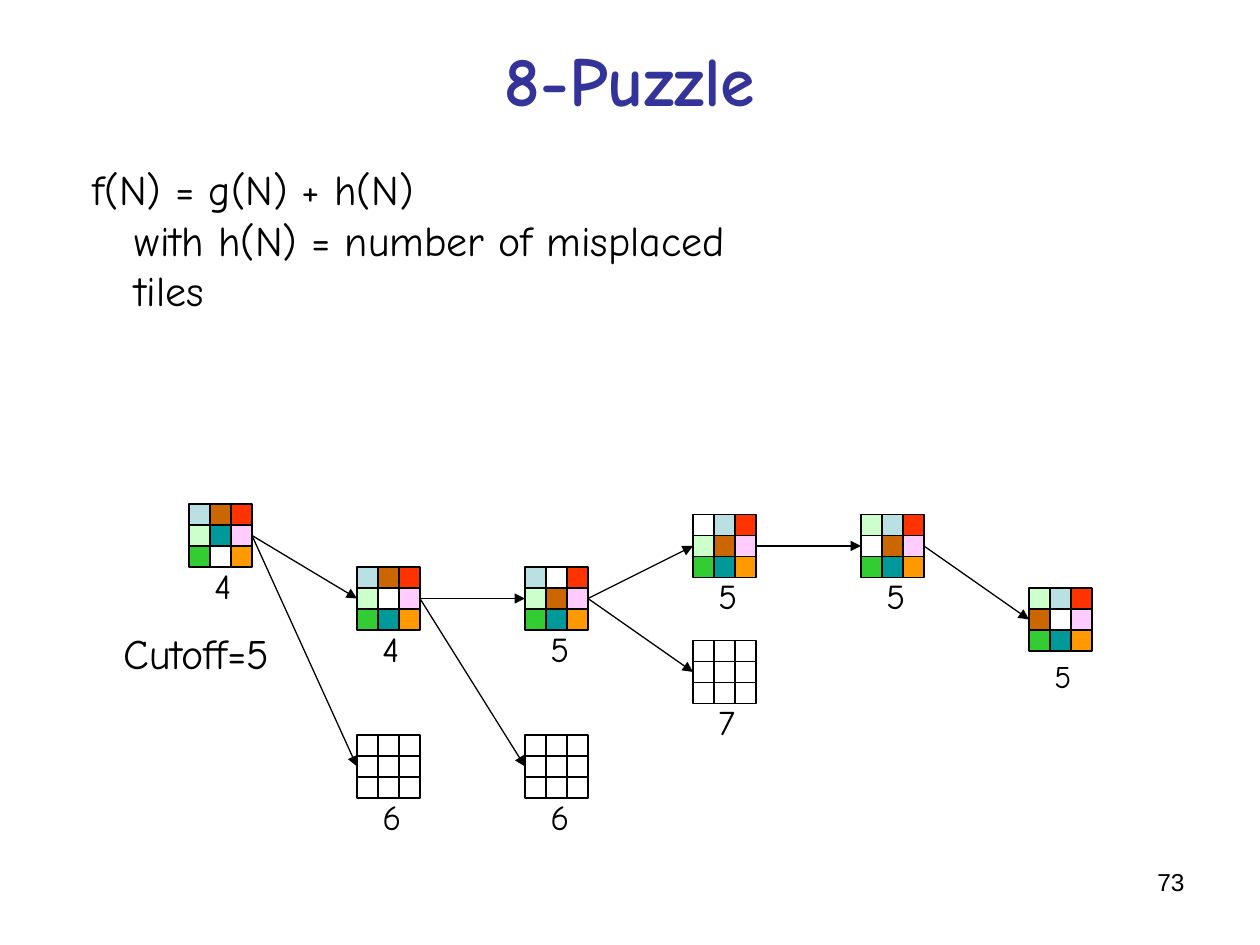
from dataclasses import dataclass

from lxml import etree
from pptx import Presentation
from pptx.dml.color import RGBColor
from pptx.enum.shapes import MSO_CONNECTOR, MSO_SHAPE
from pptx.enum.text import MSO_ANCHOR, MSO_AUTO_SIZE, PP_ALIGN
from pptx.oxml.ns import qn
from pptx.shapes.autoshape import Shape
from pptx.slide import Slide
from pptx.util import Pt

RECTANGLE = MSO_SHAPE.RECTANGLE
STRAIGHT = MSO_CONNECTOR.STRAIGHT
TOP, MIDDLE = MSO_ANCHOR.TOP, MSO_ANCHOR.MIDDLE
LEFT, CENTER, RIGHT = PP_ALIGN.LEFT, PP_ALIGN.CENTER, PP_ALIGN.RIGHT
FIT_TEXT = MSO_AUTO_SIZE.SHAPE_TO_FIT_TEXT
LEFT_SIDE, RIGHT_SIDE = 1, 3
MIDDLE_LEFT_TILE, MIDDLE_RIGHT_TILE = 3, 5


@dataclass(frozen=True)
class Theme:
    font: str = "Comic Neue"
    number_font: str = "Arial"
    ink: str = "000000"
    title: str = "333399"
    title_size: float = 40
    body_size: float = 24
    cost_size: float = 20
    small_cost_size: float = 18
    number_size: float = 14
    line_width: float = 0.75


THEME = Theme()

# Tile colours by letter; a dot is an empty square
TILES = {
    "B": "BBE0E3", "O": "CC6600", "R": "FF3300",
    "M": "CCFFCC", "T": "009999", "P": "FFCCFF",
    "G": "33CC33", "A": "FF9900", ".": "FFFFFF",
}
TILE = 12
SIDE = 3
UNEXPANDED = "." * SIDE ** 2


@dataclass(frozen=True)
class Board:
    name: str
    column: int
    top: float
    tiles: str
    cost: str
    cost_size: float = THEME.cost_size
    cost_drop: float = 31

    @property
    def left(self) -> float:
        return 108 + 96 * self.column


@dataclass(frozen=True)
class TextStyle:
    size: float
    color: str = THEME.ink
    font: str = THEME.font
    bold: bool = False
    align: PP_ALIGN = LEFT
    anchor: MSO_ANCHOR = TOP
    wrap: bool = False


BOARDS = [
    Board("start", 0, 288, "BORMTPG.A", "4"),
    Board("blank up", 1, 324, "BORM.PGTA", "4"),
    Board("start cut", 1, 420, UNEXPANDED, "6"),
    Board("blank top", 2, 324, "B.RMOPGTA", "5"),
    Board("blank up cut", 2, 420, UNEXPANDED, "6"),
    Board("blank corner", 3, 294, ".BRMOPGTA", "5"),
    Board("blank top cut", 3, 366, UNEXPANDED, "7"),
    Board("blank left", 4, 294, "MBR.OPGTA", "5"),
    Board("blank center", 5, 336, "MBRO.PGTA", "5", THEME.small_cost_size, 36),
]

MOVES = [
    ("start", "blank up"),
    ("start", "start cut"),
    ("blank up", "blank up cut"),
    ("blank up", "blank top"),
    ("blank top", "blank top cut"),
    ("blank top", "blank corner"),
    ("blank corner", "blank left"),
    ("blank left", "blank center"),
]


def rgb(color: str) -> RGBColor:
    return RGBColor.from_string(color)


def add_text(slide: Slide, left: float, top: float, width: float, height: float,
             lines: list[tuple[str, float]], style: TextStyle) -> None:
    """Add a text box; each line is its wording and its left indent."""
    box = slide.shapes.add_textbox(Pt(left), Pt(top), Pt(width), Pt(height))
    frame = box.text_frame
    frame.word_wrap = style.wrap
    frame.vertical_anchor = style.anchor
    if not style.wrap:
        frame.auto_size = FIT_TEXT
    for index, (wording, indent) in enumerate(lines):
        para = frame.add_paragraph() if index else frame.paragraphs[0]
        para.alignment = style.align
        if indent:
            properties = para._p.get_or_add_pPr()
            properties.set("marL", str(Pt(indent)))
            properties.set("indent", "0")
        span = para.add_run()
        span.text = wording
        span.font.name = style.font
        span.font.size = Pt(style.size)
        span.font.bold = style.bold
        span.font.color.rgb = rgb(style.color)


def add_board(slide: Slide, board: Board) -> list[Shape]:
    """Draw the tiles row by row with the cost below, and return the tiles."""
    squares = []
    for index, letter in enumerate(board.tiles):
        row, column = divmod(index, SIDE)
        square = slide.shapes.add_shape(
            RECTANGLE, Pt(board.left + column * TILE),
            Pt(board.top + row * TILE), Pt(TILE), Pt(TILE))
        square.shadow.inherit = False
        square.fill.solid()
        square.fill.fore_color.rgb = rgb(TILES[letter])
        square.line.color.rgb = rgb(THEME.ink)
        square.line.width = Pt(THEME.line_width)
        squares.append(square)
    add_text(slide, board.left + 7.5, board.top + board.cost_drop, 25, 31.5,
             [(board.cost, 0)], TextStyle(board.cost_size))
    return squares


def add_move(slide: Slide, parent: list[Shape], child: list[Shape]) -> None:
    """Join two boards with an arrow."""
    arrow = slide.shapes.add_connector(STRAIGHT, 0, 0, 0, 0)
    arrow.begin_connect(parent[MIDDLE_RIGHT_TILE], RIGHT_SIDE)
    arrow.end_connect(child[MIDDLE_LEFT_TILE], LEFT_SIDE)
    arrow.line.color.rgb = rgb(THEME.ink)
    arrow.line.width = Pt(THEME.line_width)
    etree.SubElement(arrow.line._get_or_add_ln(), qn("a:tailEnd"), type="triangle")
    etree.SubElement(arrow._element.spPr, qn("a:effectLst"))


def main() -> None:
    deck = Presentation()
    deck.slide_width, deck.slide_height = Pt(720), Pt(540)
    page = deck.slides.add_slide(deck.slide_layouts[6])

    # Title and evaluation function
    add_text(page, 36, 0, 648, 90, [("8-Puzzle", 0)],
             TextStyle(THEME.title_size, THEME.title, bold=True,
                       align=CENTER, anchor=MIDDLE, wrap=True))
    body = TextStyle(THEME.body_size)
    add_text(page, 46, 90, 422.5, 65,
             [("f(N) = g(N) + h(N)", 0),
              ("with h(N) = number of misplaced tiles", 24)], body)

    # Search tree
    boards = {board.name: add_board(page, board) for board in BOARDS}
    for parent, child in MOVES:
        add_move(page, boards[parent], boards[child])
    add_text(page, 63.5, 355, 98, 36, [("Cutoff=5", 0)], body)

    # Page number
    add_text(page, 516, 492, 168, 37.5, [("73", 0)],
             TextStyle(THEME.number_size, font=THEME.number_font,
                       align=RIGHT, wrap=True))

    deck.save("out.pptx")


if __name__ == "__main__":
    main()
